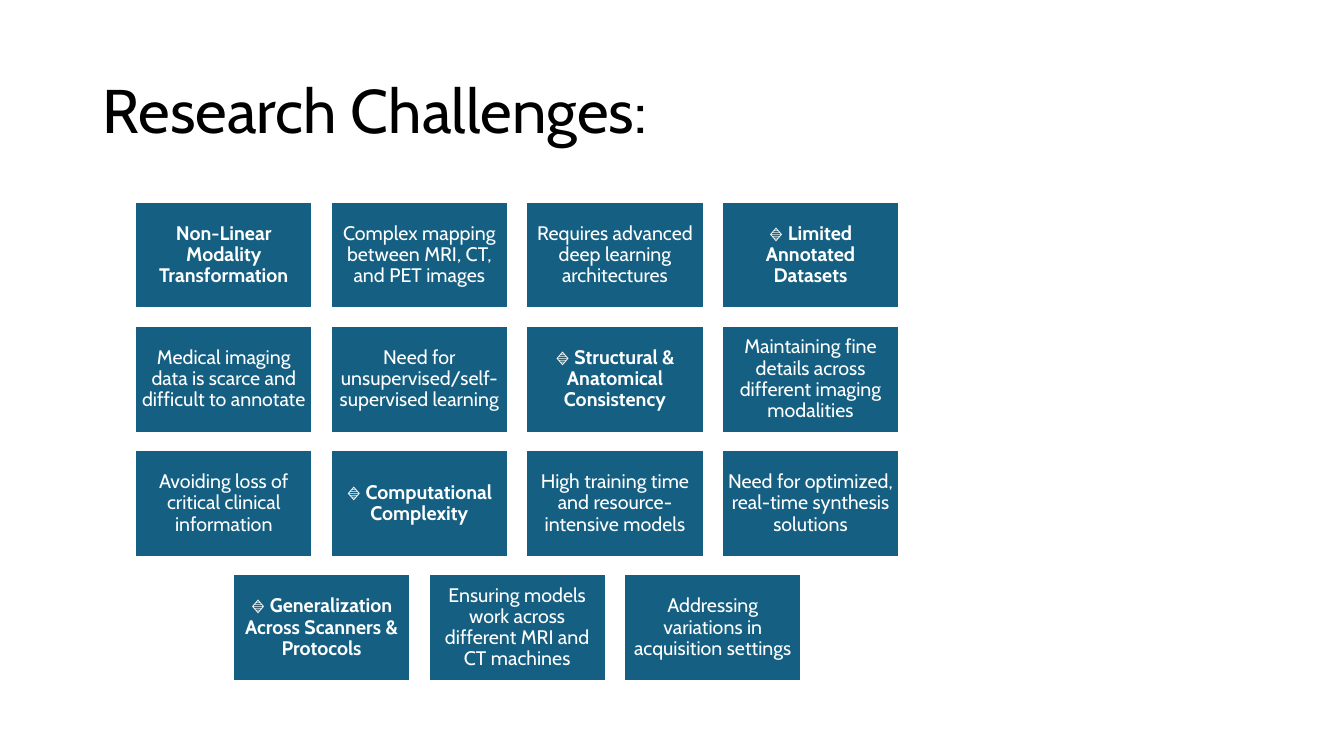
from pptx import Presentation
from pptx.dml.color import RGBColor
from pptx.enum.shapes import MSO_SHAPE
from pptx.enum.text import MSO_ANCHOR, PP_ALIGN
from pptx.util import Inches, Pt

FONT = "Cabin"
MARKER = "🔹 "
COLUMNS = 4
CARD_W, CARD_H = 1.76, 1.06
GAP_X, GAP_Y = 0.18, 0.173

CHALLENGES = [
    ("", "Non-Linear Modality Transformation", True),
    ("", "Complex mapping between MRI, CT, and PET images", False),
    ("", "Requires advanced deep learning architectures", False),
    (MARKER, "Limited Annotated Datasets", True),
    ("", "Medical imaging data is scarce and difficult to annotate", False),
    ("", "Need for unsupervised/self-supervised learning", False),
    (MARKER, "Structural & Anatomical Consistency", True),
    ("", "Maintaining fine details across different imaging modalities", False),
    ("", "Avoiding loss of critical clinical information", False),
    (MARKER, "Computational Complexity", True),
    ("", "High training time and resource-intensive models", False),
    ("", "Need for optimized, real-time synthesis solutions", False),
    (MARKER, "Generalization Across Scanners & Protocols", True),
    ("", "Ensuring models work across different MRI and CT machines", False),
    ("", "Addressing variations in acquisition settings", False),
]


def color(value):
    """Turn a hex string into a colour."""
    return RGBColor.from_string(value)


def add_run(p, text, size, fill, bold=False):
    """Append one formatted run to a paragraph."""
    r = p.add_run()
    r.text = text
    r.font.name = FONT
    r.font.size = Pt(size)
    r.font.bold = bold
    r.font.color.rgb = color(fill)


def add_title(s, x, y, w, h):
    """Place the slide title in the given box."""
    tf = s.shapes.add_textbox(Inches(x), Inches(y), Inches(w), Inches(h)).text_frame
    tf.word_wrap = True
    tf.vertical_anchor = MSO_ANCHOR.MIDDLE
    p = tf.paragraphs[0]
    p.line_spacing = 0.9
    add_run(p, "Research Challenges:", 44, "000000")


def add_card(s, x, y, w, h, marker, text, bold):
    """Place one challenge card in the given box."""
    sp = s.shapes.add_shape(MSO_SHAPE.RECTANGLE, Inches(x), Inches(y), Inches(w), Inches(h))
    sp.shadow.inherit = False
    sp.fill.solid()
    sp.fill.fore_color.rgb = color("156082")
    sp.line.color.rgb = color("FFFFFF")
    sp.line.width = Pt(1.5)
    tf = sp.text_frame
    tf.word_wrap = True
    tf.vertical_anchor = MSO_ANCHOR.MIDDLE
    tf.margin_left = tf.margin_right = tf.margin_top = tf.margin_bottom = Inches(0.06)
    p = tf.paragraphs[0]
    p.alignment = PP_ALIGN.CENTER
    p.line_spacing = 0.9
    if marker:
        add_run(p, marker, 14, "FFFFFF")
    add_run(p, text, 14, "FFFFFF", bold)


def add_card_grid(s, x, y, w):
    """Place the cards in rows, each row centred in the given width."""
    for start in range(0, len(CHALLENGES), COLUMNS):
        row = CHALLENGES[start:start + COLUMNS]
        row_w = len(row) * (CARD_W + GAP_X) - GAP_X
        left = x + (w - row_w) / 2
        top = y + start // COLUMNS * (CARD_H + GAP_Y)
        for i, challenge in enumerate(row):
            add_card(s, left + i * (CARD_W + GAP_X), top, CARD_W, CARD_H, *challenge)


def main():
    """Build and save the slide."""
    prs = Presentation()
    prs.slide_width, prs.slide_height = Inches(13.33), Inches(7.5)
    s = prs.slides.add_slide(prs.slide_layouts[6])
    add_title(s, 0.92, 0.4, 11.5, 1.45)
    add_card_grid(s, 1.34, 2, 7.58)
    prs.save("out.pptx")


if __name__ == "__main__":
    main()
